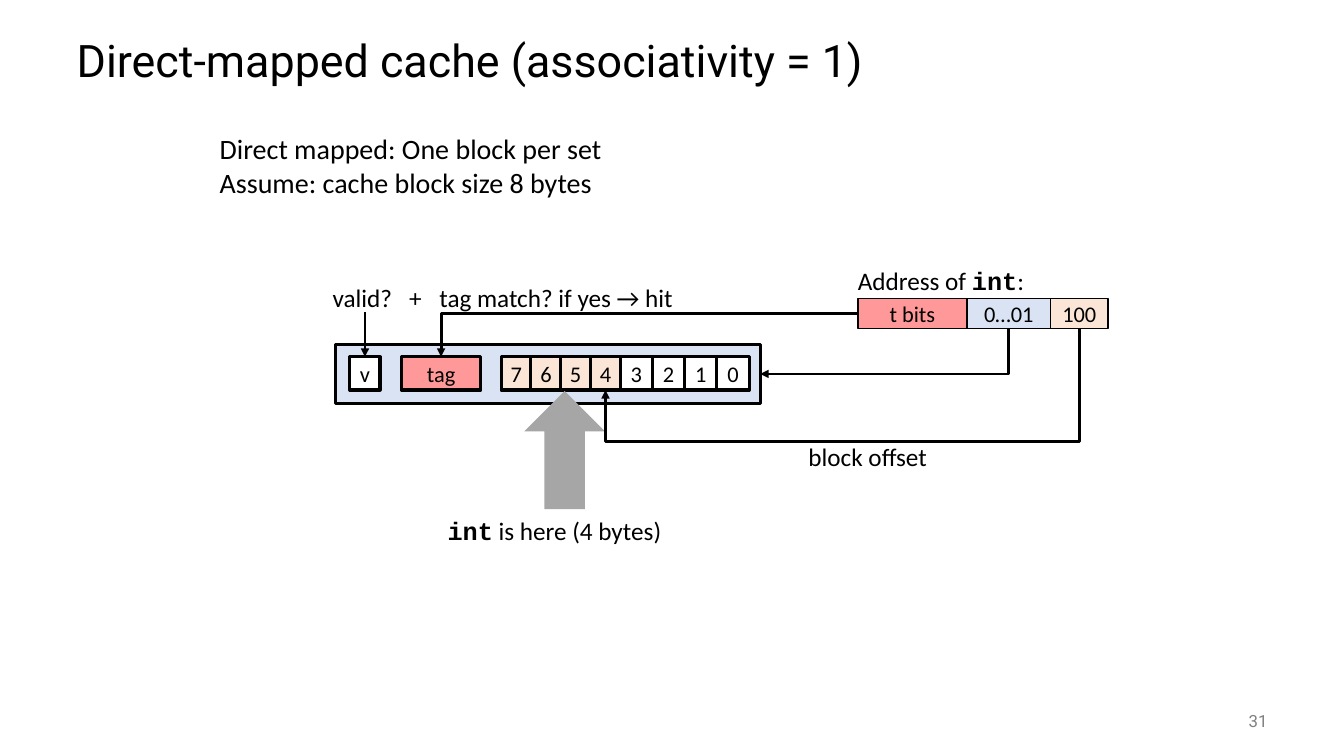
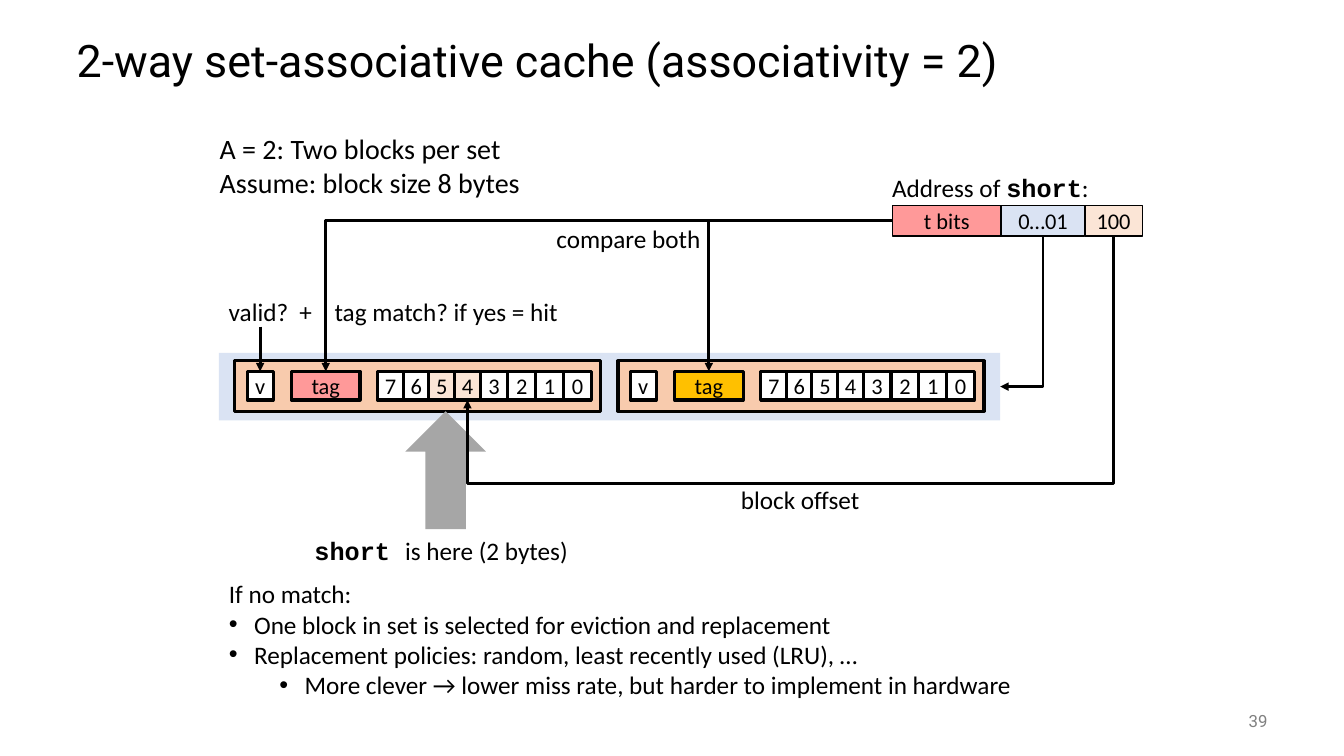
from lxml import etree
from pptx import Presentation
from pptx.dml.color import RGBColor
from pptx.enum import shapes, text
from pptx.oxml import ns
from pptx.util import Inches, Pt

BLACK = RGBColor(0x00, 0x00, 0x00)
WHITE = RGBColor(0xFF, 0xFF, 0xFF)
GRAY = RGBColor(0x80, 0x80, 0x80)
ARROW_GRAY = RGBColor(0xA6, 0xA6, 0xA6)
RED = RGBColor(0xFF, 0x99, 0x99)
BLUE = RGBColor(0xDA, 0xE3, 0xF3)
CREAM = RGBColor(0xFB, 0xE5, 0xD6)
ORANGE = RGBColor(0xF8, 0xCB, 0xAD)
GOLD = RGBColor(0xFF, 0xC0, 0x00)
BODY_FONT, CODE_FONT, TITLE_FONT = "Calibri", "Courier New", "Roboto"
TOP, LEFT, BOTTOM, RIGHT = range(4)
BLOCK_WIDTH, BLOCK_HEIGHT = 4.21, 0.58


def add_run(paragraph, words, size=18, font=BODY_FONT, color=BLACK, bold=False):
    run = paragraph.add_run()
    run.text = words
    run.font.size = Pt(size)
    run.font.name = font
    run.font.color.rgb = color
    run.font.bold = bold


def add_label(slide, left, top, width, lines, size=18, height=0.4, tab=None):
    label = slide.shapes.add_textbox(
        Inches(left), Inches(top), Inches(width), Inches(height))
    frame = label.text_frame
    frame.word_wrap = False
    frame.auto_size = text.MSO_AUTO_SIZE.SHAPE_TO_FIT_TEXT
    for index, line in enumerate(lines):
        paragraph = frame.add_paragraph() if index else frame.paragraphs[0]
        if tab:
            stops = etree.SubElement(
                paragraph._p.get_or_add_pPr(), ns.qn("a:tabLst"))
            etree.SubElement(
                stops, ns.qn("a:tab"), pos=str(Inches(tab)), algn="l")
        for words, font in line:
            add_run(paragraph, words, size, font, bold=font == CODE_FONT)


def add_plain(slide, left, top, width, words, **options):
    add_label(slide, left, top, width, [[(words, BODY_FONT)]], **options)


def add_box(slide, left, top, width, height, fill, line=2.25, words="",
            kind=shapes.MSO_SHAPE.RECTANGLE):
    box = slide.shapes.add_shape(
        kind, Inches(left), Inches(top), Inches(width), Inches(height))
    box.shadow.inherit = False
    box.fill.solid()
    box.fill.fore_color.rgb = fill
    if line:
        box.line.color.rgb = BLACK
        box.line.width = Pt(line)
    else:
        box.line.fill.background()
    if words:
        frame = box.text_frame
        frame.word_wrap = False
        frame.vertical_anchor = text.MSO_ANCHOR.MIDDLE
        frame.margin_top = frame.margin_bottom = 0
        frame.paragraphs[0].alignment = text.PP_ALIGN.CENTER
        add_run(frame.paragraphs[0], words, 16)
    return box


def side(box, index):
    x = {LEFT: box.left, RIGHT: box.left + box.width}
    y = {TOP: box.top, BOTTOM: box.top + box.height}
    return (x.get(index, box.left + box.width // 2),
            y.get(index, box.top + box.height // 2))


def add_arrow(slide, kind, start, end):
    arrow = slide.shapes.add_connector(kind, *start, *end)
    arrow.line.color.rgb = BLACK
    arrow.line.width = Pt(2)
    properties = arrow._element.spPr
    etree.SubElement(properties.find(ns.qn("a:ln")), ns.qn("a:tailEnd"),
                     type="triangle")
    etree.SubElement(properties, ns.qn("a:effectLst"))
    return arrow


def add_across_then_down(slide, start, end):
    arrow = add_arrow(slide, shapes.MSO_CONNECTOR.ELBOW, start, end)
    arrow._element.spPr.find(ns.qn("a:prstGeom")).set("prst", "bentConnector2")


def add_down_then_across(slide, start, end, turn=None):
    center_x, center_y = (start[0] + end[0]) // 2, (start[1] + end[1]) // 2
    half_drop, half_run = (end[1] - start[1]) // 2, (start[0] - end[0]) // 2
    arrow = add_arrow(
        slide, shapes.MSO_CONNECTOR.ELBOW,
        (center_x - half_drop, center_y - half_run),
        (center_x + half_drop, center_y + half_run))
    properties = arrow._element.spPr
    properties.find(ns.qn("a:xfrm")).set("rot", "5400000")
    geometry = properties.find(ns.qn("a:prstGeom"))
    if turn is None:
        geometry.set("prst", "bentConnector2")
        return
    ratio = round((Inches(turn) - start[1]) / (end[1] - start[1]) * 100000)
    guides = geometry.find(ns.qn("a:avLst"))
    if guides is None:
        guides = etree.SubElement(geometry, ns.qn("a:avLst"))
    etree.SubElement(guides, ns.qn("a:gd"), name="adj1", fmla=f"val {ratio}")


def add_valid_check(slide, left, top, valid, tab):
    add_plain(slide, left, top, 1.12, "valid?\t+", tab=tab)
    end = side(valid, TOP)
    arrow = add_arrow(slide, shapes.MSO_CONNECTOR.STRAIGHT,
                      (end[0], Inches(top + 0.35)), end)
    arrow.end_connect(valid, TOP)


def add_address(slide, left, top, type_name, label_width):
    add_label(slide, left - 0.1, top - 0.38, label_width, [
        [("Address of ", BODY_FONT), (type_name, CODE_FONT), (":", BODY_FONT)]])
    fields = []
    for words, width, fill in (
            ("t bits", 1.08, RED), ("0…01", 0.83, BLUE), ("100", 0.57, CREAM)):
        fields.append(add_box(slide, left, top, width, 0.3, fill, 1, words))
        left += width
    return fields


def add_block(slide, left, top, width, fill, tag_fill, used_bytes):
    scale = width / BLOCK_WIDTH
    block = add_box(slide, left, top, width, BLOCK_HEIGHT * scale, fill)

    def add_cell(offset, cell_width, cell_fill, words):
        return add_box(slide, left + offset * scale, top + 0.12 * scale,
                       cell_width * scale, 0.33 * scale, cell_fill, words=words)

    valid = add_cell(0.14, 0.3, WHITE, "v")
    tag = add_cell(0.65, 0.79, tag_fill, "tag")
    byte_cells = {}
    offset = 1.64
    for number in range(7, -1, -1):
        cell_width = 0.3 if number > 3 else 0.32
        byte_fill = CREAM if number in used_bytes else WHITE
        byte_cells[number] = add_cell(
            offset, cell_width, byte_fill, str(number))
        offset += cell_width - (0.005 if number > 3 else 0)
    return block, valid, tag, byte_cells


def add_data_pointer(slide, left, top, label_left, label_width, type_name,
                     note):
    add_box(slide, left, top, 0.8, 1.17, ARROW_GRAY, 0,
            kind=shapes.MSO_SHAPE.UP_ARROW)
    add_label(slide, label_left, top + 1.18, label_width,
              [[(type_name, CODE_FONT), (note, BODY_FONT)]])


def start_slide(deck, layout_index, heading, number, intro, intro_width):
    slide = deck.slides.add_slide(deck.slide_layouts[layout_index])
    title = slide.shapes.title
    title.left, title.top = Inches(0.66), Inches(0.25)
    title.width, title.height = Inches(12), Inches(0.75)
    title.text_frame.vertical_anchor = text.MSO_ANCHOR.MIDDLE
    paragraph = title.text_frame.paragraphs[0]
    paragraph.alignment = text.PP_ALIGN.LEFT
    paragraph.line_spacing = 0.9
    add_run(paragraph, heading, 32, TITLE_FONT)

    page = slide.shapes.add_textbox(
        Inches(11.67), Inches(6.95), Inches(1), Inches(0.4)).text_frame
    page.word_wrap = True
    page.vertical_anchor = text.MSO_ANCHOR.MIDDLE
    page.paragraphs[0].alignment = text.PP_ALIGN.RIGHT
    add_run(page.paragraphs[0], str(number), 12, TITLE_FONT, GRAY)

    add_label(slide, 2.08, 1.26, intro_width,
              [[(line, BODY_FONT)] for line in intro], 20, 0.77)
    return slide


def fill_policy_list(body, left, top, width, height):
    body.left, body.top = Inches(left), Inches(top)
    body.width, body.height = Inches(width), Inches(height)
    frame = body.text_frame
    frame.word_wrap = True
    frame.auto_size = text.MSO_AUTO_SIZE.NONE
    items = (
        ("If no match:", 0, 0),
        ("One block in set is selected for eviction and replacement", 0, 0.25),
        ("Replacement policies: random, least recently used (LRU), …", 0, 0.25),
        ("More clever → lower miss rate, but harder to implement in hardware",
         1, 0.75),
    )
    for index, (words, level, margin) in enumerate(items):
        paragraph = frame.add_paragraph() if index else frame.paragraphs[0]
        paragraph.level = level
        paragraph.space_before = Pt(0)
        properties = paragraph._p.get_or_add_pPr()
        properties.set("marL", str(Inches(margin)))
        properties.set("indent", str(Inches(-0.25 if margin else 0)))
        if margin:
            etree.SubElement(properties, ns.qn("a:buFont"), typeface="Arial")
            etree.SubElement(properties, ns.qn("a:buChar"), char="•")
        else:
            etree.SubElement(properties, ns.qn("a:buNone"))
        add_run(paragraph, words)


def build_direct_mapped(deck):
    slide = start_slide(
        deck, 5, "Direct-mapped cache (associativity = 1)", 31,
        ("Direct mapped: One block per set",
         "Assume: cache block size 8 bytes"), 4.03)
    tag_bits, set_index, offset = add_address(slide, 8.51, 2.96, "int", 1.87)
    block, valid, tag, byte_cells = add_block(
        slide, 3.33, 3.42, BLOCK_WIDTH, BLUE, RED, {4, 5, 6, 7})
    add_down_then_across(slide, side(set_index, BOTTOM), side(block, RIGHT))
    add_across_then_down(slide, side(tag_bits, LEFT), side(tag, TOP))
    add_plain(slide, 4.26, 2.75, 2.62, "tag match? if yes → hit")
    add_valid_check(slide, 3.2, 2.75, valid, 0.76)
    add_data_pointer(slide, 5.2, 3.88, 4.34, 2.35, "int", " is here (4 bytes)")
    add_plain(slide, 7.92, 4.33, 1.42, "block offset")
    add_down_then_across(slide, side(offset, BOTTOM),
                         side(byte_cells[4], BOTTOM), 4.38)


def build_two_way(deck):
    slide = start_slide(
        deck, 1, "2-way set-associative cache (associativity = 2)", 39,
        ("A = 2: Two blocks per set", "Assume: block size 8 bytes"), 3.21)
    tag_bits, set_index, offset = add_address(slide, 8.85, 2.04, "short", 2.17)
    cache_set = add_box(slide, 2.17, 3.5, 7.75, 0.67, BLUE, 0)
    _, valid, first_tag, byte_cells = add_block(
        slide, 2.33, 3.58, 3.63, ORANGE, RED, {4, 5})
    _, _, second_tag, _ = add_block(
        slide, 6.13, 3.58, 3.63, ORANGE, GOLD, set())
    add_down_then_across(slide, side(set_index, BOTTOM), side(cache_set, RIGHT))
    for tag in (second_tag, first_tag):
        add_across_then_down(slide, side(tag_bits, LEFT), side(tag, TOP))
    add_plain(slide, 5.42, 2.17, 1.67, "compare both")
    add_valid_check(slide, 2.17, 2.89, valid, 0.7)
    add_plain(slide, 3.22, 2.89, 2.49, "tag match? if yes = hit")
    add_plain(slide, 7.25, 4.76, 1.42, "block offset")
    add_data_pointer(slide, 4.02, 4.08, 3.02, 2.74, "short ",
                     "is here (2 bytes)")
    fill_policy_list(slide.placeholders[1], 2.17, 5.69, 8.05, 1.31)
    add_down_then_across(slide, side(offset, BOTTOM),
                         side(byte_cells[4], BOTTOM), 4.8)


def main():
    deck = Presentation()
    deck.slide_width, deck.slide_height = Inches(13.33), Inches(7.5)
    build_direct_mapped(deck)
    build_two_way(deck)
    deck.save("out.pptx")


if __name__ == "__main__":
    main()
